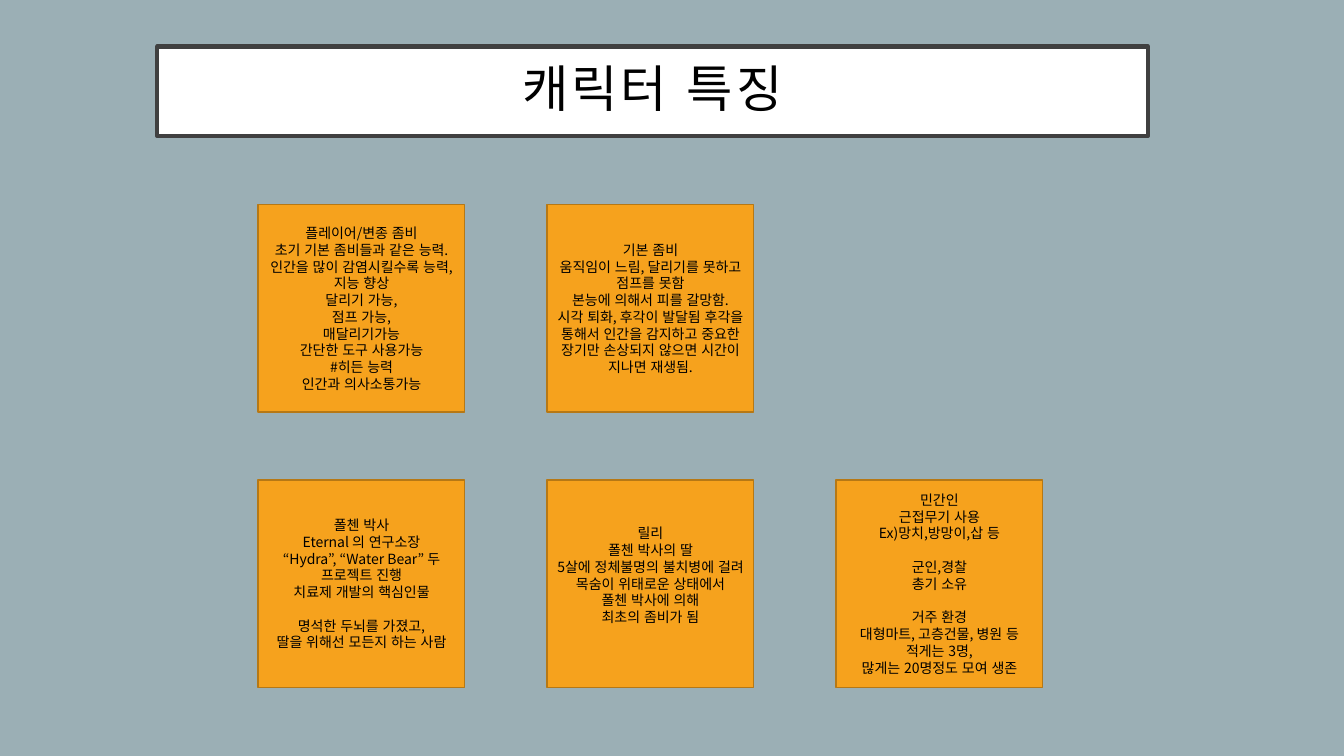
from lxml.etree import SubElement
from pptx import Presentation
from pptx.dml.color import RGBColor
from pptx.enum.lang import MSO_LANGUAGE_ID
from pptx.enum.shapes import MSO_SHAPE
from pptx.enum.text import MSO_ANCHOR, PP_ALIGN
from pptx.oxml.ns import qn
from pptx.util import Pt

FONT = "Noto Sans CJK KR"
LEFT, TOP = 184.4, 146.2
COLUMN_STEP, ROW_STEP = 206.4, 196.6
CARD_WIDTH, CARD_HEIGHT = 147.6, 148.2
LINE_PITCH = 12

# Each card: column, row, groups of paragraphs, extra space at the bottom.
CARDS = [
    (0, 0, [["플레이어/변종 좀비",
             "초기 기본 좀비들과 같은 능력. 인간을 많이 감염시킬수록 능력,지능 향상",
             "달리기 가능,", "점프 가능,", "매달리기가능",
             "간단한 도구 사용가능", "#히든 능력", "인간과 의사소통가능"]], 0),
    (1, 0, [["기본 좀비",
             "움직임이 느림, 달리기를 못하고 점프를 못함",
             "본능에 의해서 피를 갈망함.",
             "시각 퇴화, 후각이 발달됨 후각을 통해서 인간을 감지하고 "
             "중요한 장기만 손상되지 않으면 시간이 지나면 재생됨."]], 0),
    (2, 1, [["민간인", "근접무기 사용", "Ex)망치,방망이,삽 등"],
            ["군인,경찰", "총기 소유"],
            ["거주 환경", "대형마트, 고층건물, 병원 등", "적게는 3명,",
             "많게는 20명정도 모여 생존"]], 0),
    (0, 1, [["폴첸 박사", "Eternal 의 연구소장",
             "“Hydra”, “Water Bear” 두 프로젝트 진행",
             "치료제 개발의 핵심인물"],
            ["명석한 두뇌를 가졌고,", "딸을 위해선 모든지 하는 사람"]], 0),
    (1, 1, [["릴리", "폴첸 박사의 딸",
             "5살에 정체불명의 불치병에 걸려 목숨이 위태로운 상태에서",
             "폴첸 박사에 의해", "최초의 좀비가 됨"]], LINE_PITCH),
]


def color(value):
    """Turn a hex string into a colour."""
    return RGBColor.from_string(value)


def add_box(page, left, top, width, height, fill, line, weight):
    """Add an outlined rectangle whose text is wrapped and centred vertically."""
    box = page.shapes.add_shape(MSO_SHAPE.RECTANGLE, Pt(left), Pt(top), Pt(width), Pt(height))
    box.shadow.inherit = False
    box.fill.solid()
    box.fill.fore_color.rgb = color(fill)
    box.line.color.rgb = color(line)
    box.line.width = Pt(weight)
    box.text_frame.word_wrap = True
    box.text_frame.vertical_anchor = MSO_ANCHOR.MIDDLE
    return box


def add_span(para, text, size):
    """Add a black Korean run to a centred paragraph."""
    para.alignment = PP_ALIGN.CENTER
    span = para.add_run()
    span.text = text
    span.font.size = Pt(size)
    span.font.name = FONT
    span.font.color.rgb = color("000000")
    span.font.language_id = MSO_LANGUAGE_ID.KOREAN
    SubElement(span.font._element, qn("a:ea"), typeface=FONT)
    return span


def add_title(page, text):
    """Add the framed title with letter spacing."""
    box = add_box(page, 112.4, 33.2, 707.6, 64, "FFFFFF", "404040", 3)
    frame = box.text_frame
    frame.margin_left = frame.margin_right = Pt(21.6)
    frame.margin_top = frame.margin_bottom = Pt(14.4)
    para = frame.paragraphs[0]
    para.line_spacing = 0.9
    span = add_span(para, text, 36)
    span.font._element.set("spc", "200")


def add_card(page, column, row, groups, extra_bottom):
    """Add a character card with a one-line gap between paragraph groups."""
    box = add_box(page, LEFT + column * COLUMN_STEP, TOP + row * ROW_STEP,
                  CARD_WIDTH, CARD_HEIGHT, "F6A21D", "B67815", 1)
    frame = box.text_frame
    frame.margin_bottom = Pt(3.6 + extra_bottom)
    para = frame.paragraphs[0]
    for group_index, group in enumerate(groups):
        for line_index, text in enumerate(group):
            if group_index or line_index:
                para = frame.add_paragraph()
            if group_index and not line_index:
                para.space_before = Pt(LINE_PITCH)
            para.line_spacing = Pt(LINE_PITCH)
            add_span(para, text, 10)


def main():
    """Build the character traits slide."""
    deck = Presentation()
    deck.slide_width, deck.slide_height = Pt(960), Pt(540)
    page = deck.slides.add_slide(deck.slide_layouts[6])
    page.background.fill.solid()
    page.background.fill.fore_color.rgb = color("9BAFB5")
    add_title(page, "캐릭터 특징")
    for card in CARDS:
        add_card(page, *card)
    deck.save("out.pptx")


main()
